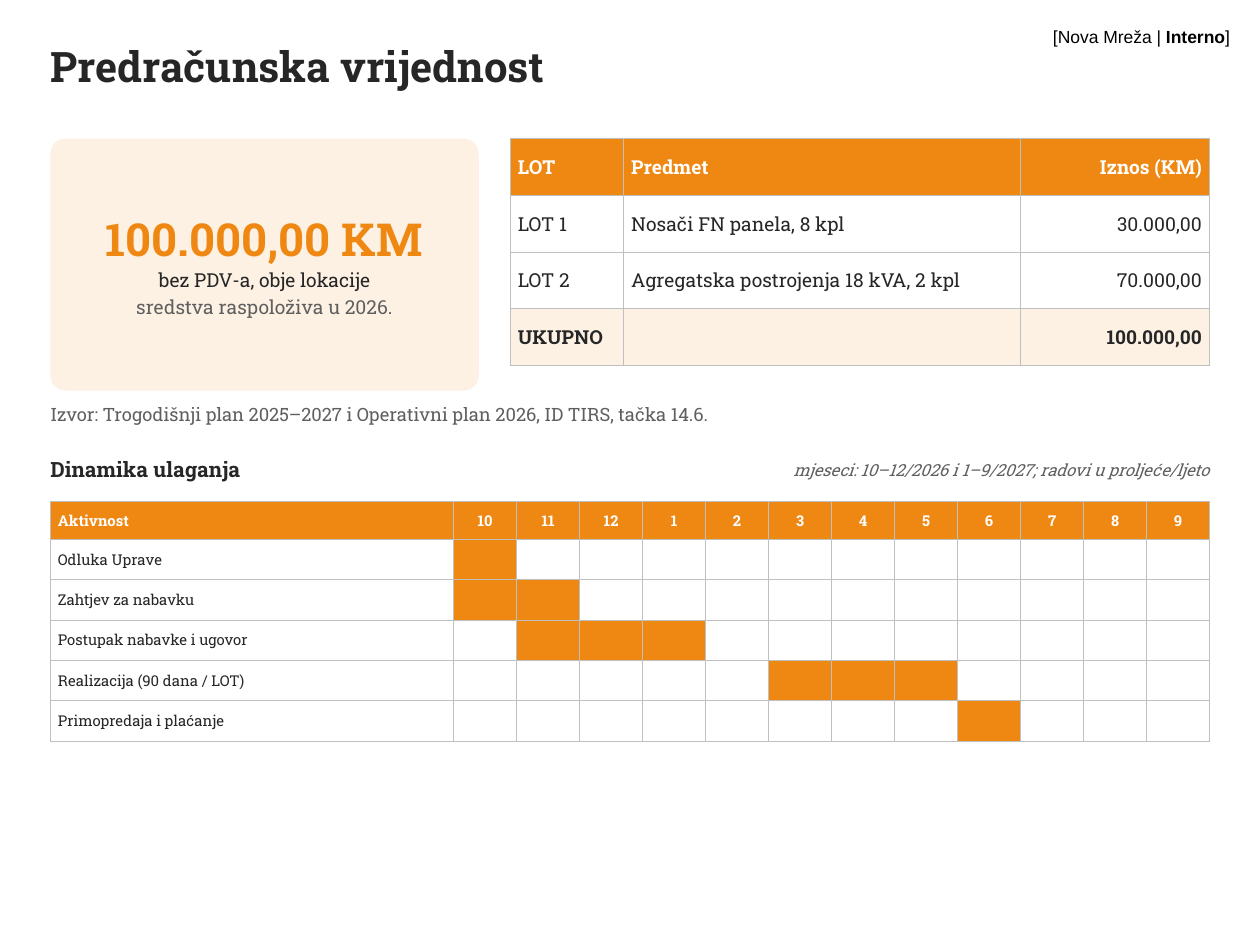
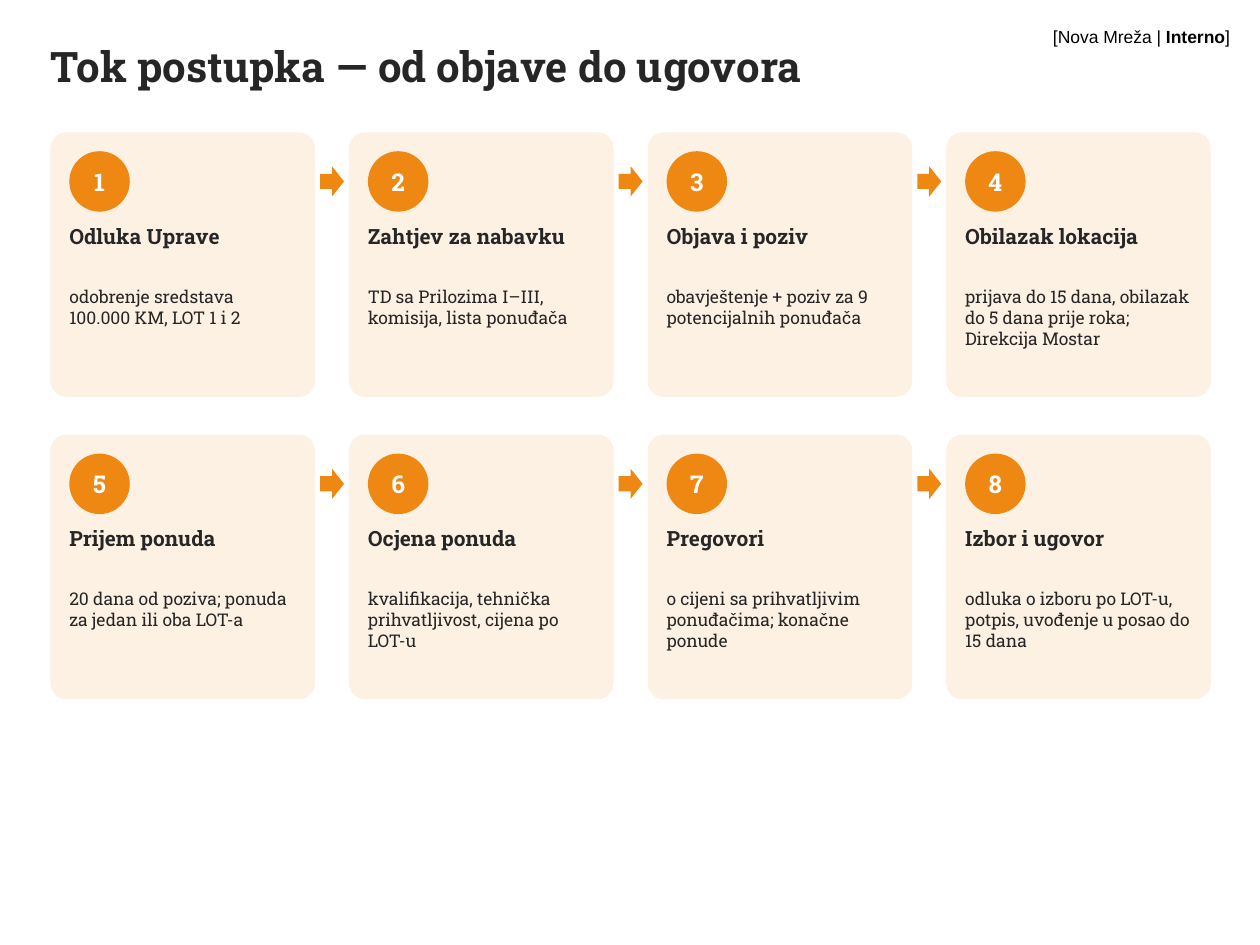
from lxml import etree
from pptx import Presentation
from pptx.dml.color import RGBColor
from pptx.enum.shapes import MSO_SHAPE
from pptx.enum.text import MSO_ANCHOR, MSO_AUTO_SIZE, PP_ALIGN
from pptx.oxml.ns import qn
from pptx.util import Inches, Pt

LEFT, CENTER, RIGHT = PP_ALIGN.LEFT, PP_ALIGN.CENTER, PP_ALIGN.RIGHT
TOP, MIDDLE = MSO_ANCHOR.TOP, MSO_ANCHOR.MIDDLE
NO_AUTOFIT = MSO_AUTO_SIZE.NONE
ROUNDED, OVAL = MSO_SHAPE.ROUNDED_RECTANGLE, MSO_SHAPE.OVAL
RIGHT_ARROW = MSO_SHAPE.RIGHT_ARROW

ORANGE = RGBColor(0xEF, 0x88, 0x12)
CREAM = RGBColor(0xFD, 0xF1, 0xE4)
INK = RGBColor(0x26, 0x26, 0x26)
GRAY = RGBColor(0x5F, 0x5F, 0x5F)
WHITE = RGBColor(0xFF, 0xFF, 0xFF)
BLACK = RGBColor(0, 0, 0)
GRID = RGBColor(0xBF, 0xBF, 0xBF)

FONT = "Roboto Slab"
LABEL_FONT = "Arial"
TITLE_ONLY = 5
MARGIN = 0.4
CONTENT_WIDTH = 9.2


class SlideBuilder:
    """Holds the deck style and the slide being built."""

    def __init__(self, deck):
        self.deck = deck
        self.slide = None

    def new_slide(self, title):
        layout = self.deck.slide_layouts[TITLE_ONLY]
        self.slide = self.deck.slides.add_slide(layout)
        box = self.slide.shapes.title
        box.left, box.top = Inches(MARGIN), Inches(0.32)
        box.width, box.height = Inches(7.7), Inches(0.6)
        self.frame(box.text_frame, TOP)
        self.add_span(box.text_frame.paragraphs[0], title, 24, bold=True)
        self.label()

    def label(self):
        """Confidentiality label in the top right corner."""
        box = self.slide.shapes.add_textbox(
            Inches(8.18), Inches(0.14), Inches(1.68), Inches(0.3))
        box.text_frame.margin_top = Inches(0.07)
        box.text_frame.word_wrap = False
        para = box.text_frame.paragraphs[0]
        for words, bold in (("[Nova Mreža | ", False), ("Interno", True), ("]", False)):
            self.add_span(para, words, 10, BLACK, bold, align=RIGHT, font=LABEL_FONT)

    def frame(self, frame, anchor):
        frame.auto_size = NO_AUTOFIT
        frame.word_wrap = True
        frame.vertical_anchor = anchor
        frame.margin_left = frame.margin_right = 0
        frame.margin_top = frame.margin_bottom = 0

    def add_span(self, para, words, size, color=INK, bold=False, italic=False,
                 align=LEFT, font=FONT):
        para.alignment = align
        span = para.add_run()
        span.text = words
        span.font.name = font
        span.font.size = Pt(size)
        span.font.bold = bold
        span.font.italic = italic
        span.font.color.rgb = color

    def text(self, left, top, width, height, words, size, **style):
        box = self.slide.shapes.add_textbox(
            Inches(left), Inches(top), Inches(width), Inches(height))
        self.frame(box.text_frame, TOP)
        self.add_span(box.text_frame.paragraphs[0], words, size, **style)
        return box

    def shape(self, kind, left, top, width, height, fill):
        shape = self.slide.shapes.add_shape(
            kind, Inches(left), Inches(top), Inches(width), Inches(height))
        shape.shadow.inherit = False
        shape.fill.solid()
        shape.fill.fore_color.rgb = fill
        shape.line.fill.background()
        return shape

    def panel(self, left, top, width, height):
        self.shape(ROUNDED, left, top, width, height, CREAM).adjustments[0] = 0.06

    def badge(self, left, top, number):
        circle = self.shape(OVAL, left, top, 0.48, 0.48, ORANGE)
        self.frame(circle.text_frame, MIDDLE)
        self.add_span(circle.text_frame.paragraphs[0], str(number), 14, WHITE,
                      bold=True, align=CENTER)

    def table(self, left, top, widths, row_height, row_count):
        table = self.slide.shapes.add_table(
            row_count, len(widths), Inches(left), Inches(top),
            Inches(sum(widths)), Inches(row_height * row_count)).table
        table.first_row = table.horz_banding = False
        for column, width in zip(table.columns, widths):
            column.width = Inches(width)
        for row in table.rows:
            row.height = Inches(row_height)
        return table

    def cell(self, cell, words, size, fill, color=INK, bold=False, align=LEFT):
        cell.vertical_anchor = MIDDLE
        cell.margin_left = cell.margin_right = Inches(0.06)
        cell.margin_top = cell.margin_bottom = Inches(0.01)
        self.cell_borders(cell)
        cell.fill.solid()
        cell.fill.fore_color.rgb = fill
        if words:
            self.add_span(cell.text_frame.paragraphs[0], words, size, color, bold,
                          align=align)

    def cell_borders(self, cell):
        properties = cell._tc.get_or_add_tcPr()
        for side in ("a:lnL", "a:lnR", "a:lnT", "a:lnB"):
            line = etree.SubElement(properties, qn(side), w=str(Pt(0.5)))
            fill = etree.SubElement(line, qn("a:solidFill"))
            etree.SubElement(fill, qn("a:srgbClr"), val=str(GRID))


def build_budget(page):
    page.new_slide("Predračunska vrijednost")

    # Total amount
    page.panel(MARGIN, 1.1, 3.4, 2)
    total = page.text(0.5, 1.2, 3.2, 1.8, "100.000,00 KM", 26, color=ORANGE,
                      bold=True, align=CENTER).text_frame
    total.vertical_anchor = MIDDLE
    for words, color in (("bez PDV-a, obje lokacije", INK),
                         ("sredstva raspoloživa u 2026.", GRAY)):
        page.add_span(total.add_paragraph(), words, 11, color, align=CENTER)
    for para in total.paragraphs:
        para.space_after = Pt(2)

    # Amounts by lot
    lots = [
        ("LOT", "Predmet", "Iznos (KM)"),
        ("LOT 1", "Nosači FN panela, 8 kpl", "30.000,00"),
        ("LOT 2", "Agregatska postrojenja 18 kVA, 2 kpl", "70.000,00"),
        ("UKUPNO", "", "100.000,00"),
    ]
    row_styles = [(ORANGE, WHITE, True), (WHITE, INK, False),
                  (WHITE, INK, False), (CREAM, INK, True)]
    table = page.table(4.05, 1.1, [0.9, 3.15, 1.5], 0.45, len(lots))
    for r, (lot, (fill, color, bold)) in enumerate(zip(lots, row_styles)):
        for c, (words, align) in enumerate(zip(lot, (LEFT, LEFT, RIGHT))):
            page.cell(table.cell(r, c), words, 11, fill, color, bold, align)

    # Source and schedule heading
    page.text(MARGIN, 3.2, CONTENT_WIDTH, 0.35,
              "Izvor: Trogodišnji plan 2025–2027 i Operativni plan 2026, "
              "ID TIRS, tačka 14.6.", 10.5, color=GRAY)
    page.text(MARGIN, 3.62, 4, 0.3, "Dinamika ulaganja", 12, bold=True)
    page.text(4.4, 3.65, 5.2, 0.3,
              "mjeseci: 10–12/2026 i 1–9/2027; radovi u proljeće/ljeto", 9.5,
              color=GRAY, italic=True, align=RIGHT)

    # Schedule: each activity fills its months
    months = [10, 11, 12, *range(1, 10)]
    activities = [
        ("Odluka Uprave", {10}),
        ("Zahtjev za nabavku", {10, 11}),
        ("Postupak nabavke i ugovor", {11, 12, 1}),
        ("Realizacija (90 dana / LOT)", {3, 4, 5}),
        ("Primopredaja i plaćanje", {6}),
    ]
    table = page.table(MARGIN, 3.98, [3.2] + [0.5] * len(months), 0.3,
                       len(activities) + 1)
    page.cell(table.cell(0, 0), "Aktivnost", 8.5, ORANGE, WHITE, True)
    for c, month in enumerate(months, 1):
        page.cell(table.cell(0, c), str(month), 8.5, ORANGE, WHITE, True, CENTER)
    for r, (activity, active) in enumerate(activities, 1):
        page.cell(table.cell(r, 0), activity, 8.5, WHITE)
        for c, month in enumerate(months, 1):
            page.cell(table.cell(r, c), "", 8.5, ORANGE if month in active else WHITE)


def build_process(page):
    page.new_slide("Tok postupka — od objave do ugovora")
    steps = [
        ("Odluka Uprave", "odobrenje sredstava 100.000 KM, LOT 1 i 2"),
        ("Zahtjev za nabavku", "TD sa Prilozima I–III, komisija, lista ponuđača"),
        ("Objava i poziv", "obavještenje + poziv za 9 potencijalnih ponuđača"),
        ("Obilazak lokacija",
         "prijava do 15 dana, obilazak do 5 dana prije roka; Direkcija Mostar"),
        ("Prijem ponuda", "20 dana od poziva; ponuda za jedan ili oba LOT-a"),
        ("Ocjena ponuda", "kvalifikacija, tehnička prihvatljivost, cijena po LOT-u"),
        ("Pregovori", "o cijeni sa prihvatljivim ponuđačima; konačne ponude"),
        ("Izbor i ugovor",
         "odluka o izboru po LOT-u, potpis, uvođenje u posao do 15 dana"),
    ]
    columns, side, gap, padding = 4, 2.1, 0.27, 0.15

    # Step cards, with an arrow to the next card in the row
    for index, (heading, detail) in enumerate(steps):
        row, column = divmod(index, columns)
        left = MARGIN + column * (side + gap)
        top = 1.05 + row * (side + 0.3)
        inner, width = left + padding, side - 2 * padding
        page.panel(left, top, side, side)
        page.badge(inner, top + padding, index + 1)
        page.text(inner, top + 0.72, width, 0.55, heading, 12, bold=True)
        page.text(inner, top + 1.22, width, 0.8, detail, 10)
        if column < columns - 1:
            page.shape(RIGHT_ARROW, left + side + 0.04, top + 0.27, 0.19, 0.24, ORANGE)


def main():
    deck = Presentation()
    deck.slide_width, deck.slide_height = Inches(10), Inches(7.5)
    page = SlideBuilder(deck)
    build_budget(page)
    build_process(page)
    deck.save("out.pptx")


if __name__ == "__main__":
    main()
